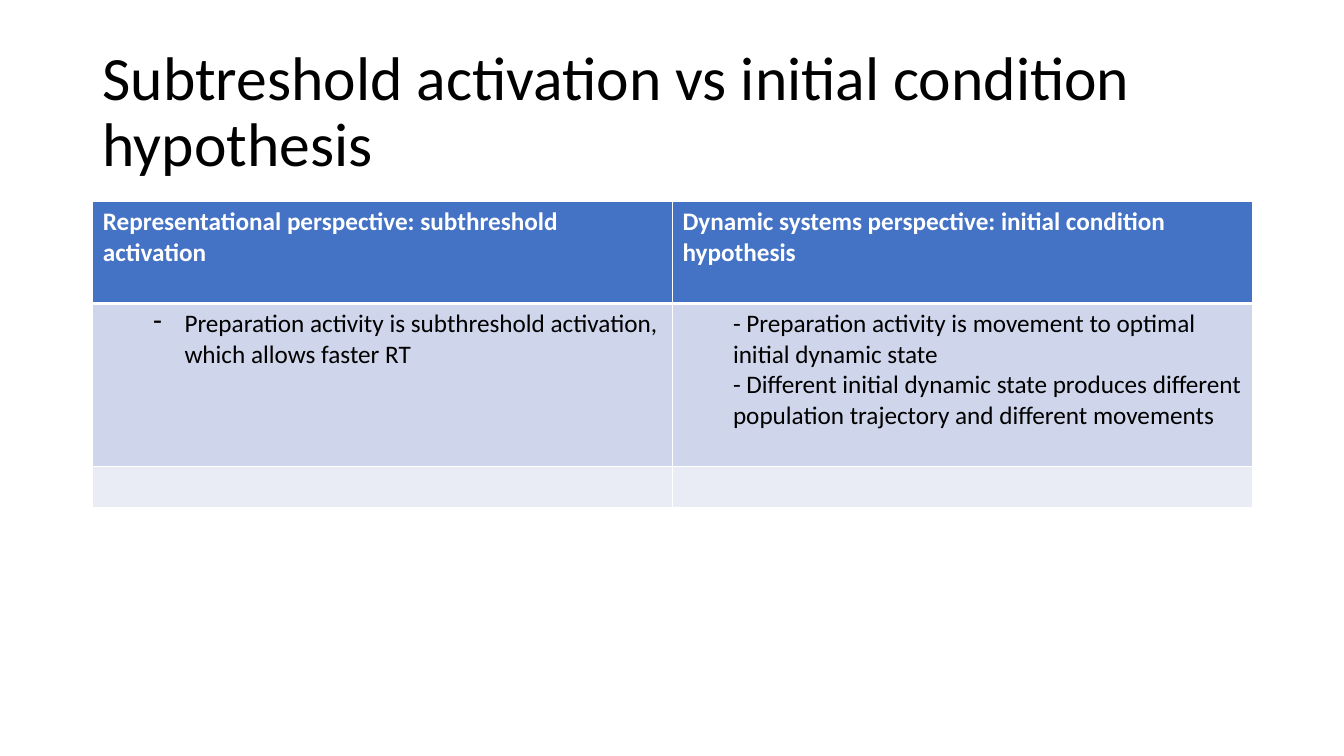
from dataclasses import dataclass

from lxml.etree import SubElement
from pptx import Presentation
from pptx.dml.color import RGBColor as Color
from pptx.enum.text import MSO_ANCHOR as Anchor
from pptx.oxml.ns import qn
from pptx.util import Inches, Pt


@dataclass(frozen=True)
class Theme:
    font: str = "Calibri"
    title_size: int = 44
    table_size: int = 18
    dark: str = "000000"
    light: str = "FFFFFF"
    header_fill: str = "4472C4"
    odd_fill: str = "CFD5EA"
    even_fill: str = "E9EBF5"
    thin: int = 1
    thick: int = 3


@dataclass(frozen=True)
class Entry:
    text: str
    margin: float = 0
    indent: float = 0
    bullet: str = ""


@dataclass(frozen=True)
class TableRow:
    height: float
    fill: str
    cells: tuple[tuple[Entry, ...], ...]
    color: str
    bold: bool = False
    top: int = 1
    bottom: int = 1


THEME = Theme()
WIDTH, HEIGHT = 13.33, 7.5
LEFT, CONTENT_WIDTH = 0.92, 11.5
TITLE_TOP, TITLE_HEIGHT, TABLE_TOP = 0.4, 1.45, 2
TITLE = "Subtreshold activation vs initial condition hypothesis"

ROWS = (
    TableRow(1.01, THEME.header_fill, (
        (Entry("Representational perspective: subthreshold activation"),),
        (Entry("Dynamic systems perspective: initial condition hypothesis"),),
    ), THEME.light, bold=True, bottom=THEME.thick),
    TableRow(1.62, THEME.odd_fill, (
        (Entry("Preparation activity is subthreshold activation, which allows faster RT",
               0.81, -0.31, "-"),),
        (Entry("- Preparation activity is movement to optimal initial dynamic state", 0.5),
         Entry("- Different initial dynamic state produces different population "
               "trajectory and different movements", 0.5)),
    ), THEME.dark, top=THEME.thick),
    TableRow(0.41, THEME.even_fill, ((Entry(""),), (Entry(""),)), THEME.dark),
)


def set_font(font, size: int, color: str, bold: bool = False) -> None:
    values = {"name": THEME.font, "size": Pt(size), "bold": bold}
    for name, value in values.items():
        setattr(font, name, value)
    font.color.rgb = Color.from_string(color)


def add_title(slide) -> None:
    box = slide.shapes.add_textbox(*map(Inches, (LEFT, TITLE_TOP, CONTENT_WIDTH, TITLE_HEIGHT)))
    frame = box.text_frame
    for name, value in {"word_wrap": True, "vertical_anchor": Anchor.MIDDLE}.items():
        setattr(frame, name, value)
    paragraph = frame.paragraphs[0]
    paragraph.text = TITLE
    paragraph.line_spacing = 0.9
    set_font(paragraph.runs[0].font, THEME.title_size, THEME.dark)


def write_entry(paragraph, entry: Entry, row: TableRow) -> None:
    set_font(paragraph.font, THEME.table_size, row.color, row.bold)
    if entry.text:
        run = paragraph.add_run()
        run.text = entry.text
        set_font(run.font, THEME.table_size, row.color, row.bold)
    if entry.margin:
        paragraph.level = 1
        properties = paragraph._p.get_or_add_pPr()
        properties.set("marL", str(Inches(entry.margin)))
        properties.set("indent", str(Inches(entry.indent)))
        if entry.bullet:
            bullet = properties.makeelement(qn("a:buChar"), {"char": entry.bullet})
            properties.insert(0, bullet)


def set_borders(cell, row: TableRow) -> None:
    properties = cell._tc.get_or_add_tcPr()
    widths = {"lnL": THEME.thin, "lnR": THEME.thin, "lnT": row.top, "lnB": row.bottom}
    for position, (side, width) in enumerate(widths.items()):
        line = properties.makeelement(qn(f"a:{side}"), {"w": str(Pt(width))})
        fill = SubElement(line, qn("a:solidFill"))
        SubElement(fill, qn("a:srgbClr"), val=THEME.light)
        properties.insert(position, line)


def add_comparison(slide) -> None:
    column_count = len(ROWS[0].cells)
    height = sum(row.height for row in ROWS)
    frame = slide.shapes.add_table(len(ROWS), column_count,
                                   *map(Inches, (LEFT, TABLE_TOP, CONTENT_WIDTH, height)))
    table = frame.table
    for column in table.columns:
        column.width = Inches(CONTENT_WIDTH / column_count)
    for row_index, row in enumerate(ROWS):
        table.rows[row_index].height = Inches(row.height)
        for column_index, entries in enumerate(row.cells):
            cell = table.cell(row_index, column_index)
            cell.fill.solid()
            cell.fill.fore_color.rgb = Color.from_string(row.fill)
            set_borders(cell, row)
            for index, entry in enumerate(entries):
                text = cell.text_frame
                write_entry(text.add_paragraph() if index else text.paragraphs[0], entry, row)


def main() -> None:
    presentation = Presentation()
    for name, value in {"slide_width": WIDTH, "slide_height": HEIGHT}.items():
        setattr(presentation, name, Inches(value))
    slide = presentation.slides.add_slide(presentation.slide_layouts[6])
    add_title(slide)
    add_comparison(slide)
    presentation.save("out.pptx")


if __name__ == "__main__":
    main()
